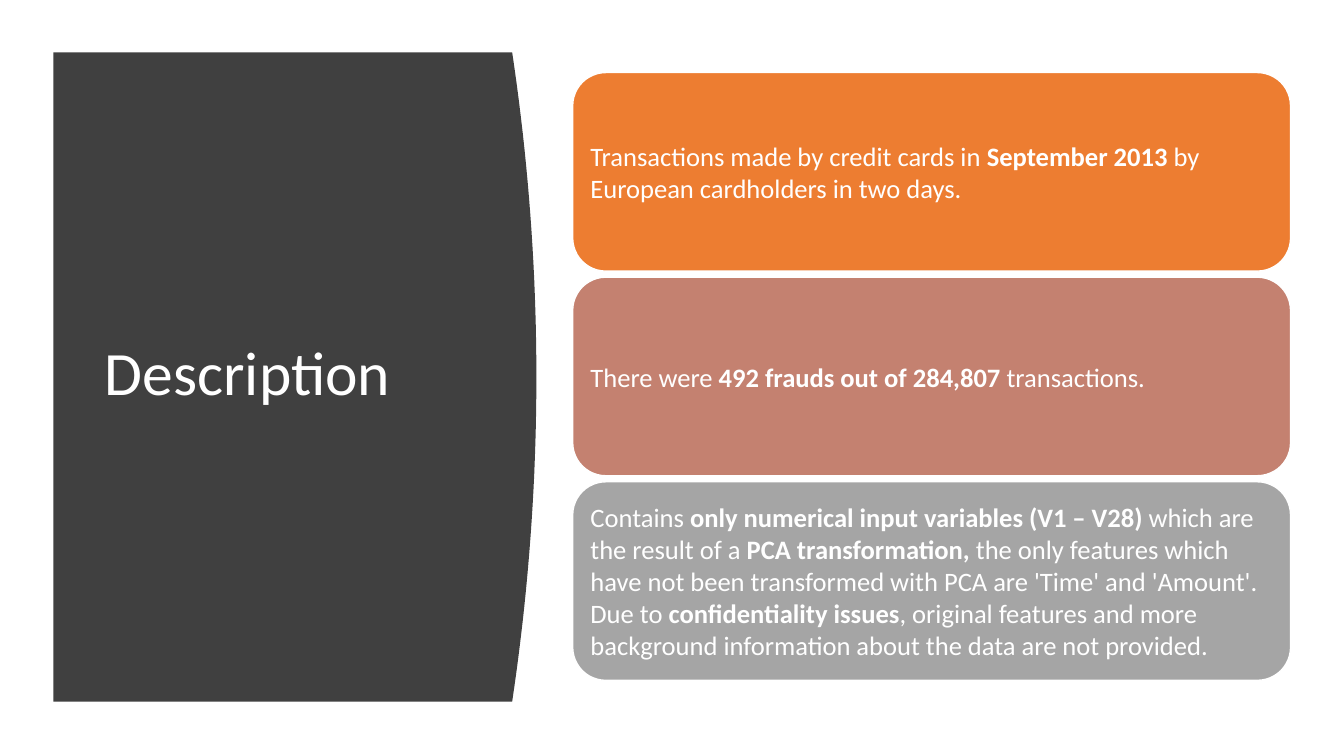
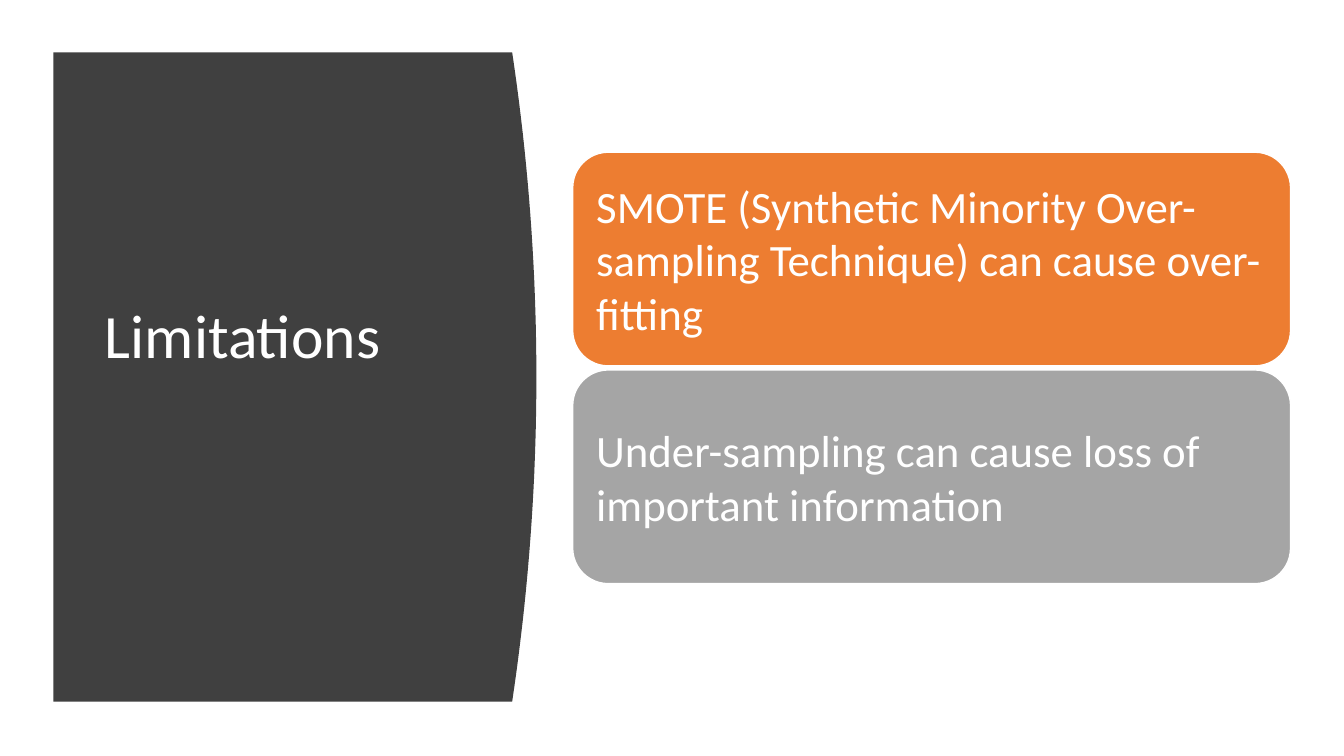
from pptx import Presentation
from pptx.dml.color import RGBColor
from pptx.enum.shapes import MSO_SHAPE
from pptx.enum.text import MSO_ANCHOR, MSO_AUTO_SIZE, PP_ALIGN
from pptx.util import Inches, Pt

FONT = "Calibri"
WHITE, CHARCOAL = "FFFFFF", "404040"
ORANGE, ROSE, GREY = "ED7D31", "C48170", "A5A5A5"
TITLE_ONLY = 5

PANEL_LEFT, PANEL_TOP, PANEL_BOTTOM = 0.53, 0.52, 6.96
PANEL_EDGE, PANEL_BULGE = 5.08, 0.24
CARD_LEFT, CARD_WIDTH = 5.68, 7.12


def rgb(value):
    return RGBColor.from_string(value)


def fill(sp, color):
    sp.shadow.inherit = False
    sp.fill.solid()
    sp.fill.fore_color.rgb = rgb(color)


def add_run(p, text, size, bold=False):
    r = p.add_run()
    r.text = text
    r.font.name = FONT
    r.font.size = Pt(size)
    r.font.bold = bold
    r.font.color.rgb = rgb(WHITE)


def add_panel(s):
    """Dark panel whose right edge bows outwards, placed behind the title."""
    steps = 40
    half = (PANEL_BOTTOM - PANEL_TOP) / 2
    edge = []
    for i in range(steps + 1):
        u = 2 * i / steps - 1
        x = PANEL_EDGE + PANEL_BULGE * (1 - u * u)
        edge.append((Inches(x), Inches(PANEL_TOP + half * (1 + u))))
    builder = s.shapes.build_freeform(Inches(PANEL_LEFT), Inches(PANEL_TOP))
    builder.add_line_segments(edge + [(Inches(PANEL_LEFT), Inches(PANEL_BOTTOM))])
    sp = builder.convert_to_shape()
    fill(sp, CHARCOAL)
    sp.line.fill.background()
    s.shapes.title.element.addprevious(sp.element)


def set_title(s, text, top):
    title = s.shapes.title
    title.left, title.top = Inches(0.94), Inches(top)
    title.width, title.height = Inches(3.74), Inches(5.24)
    tf = title.text_frame
    tf.word_wrap = True
    tf.auto_size = MSO_AUTO_SIZE.NONE
    tf.vertical_anchor = MSO_ANCHOR.MIDDLE
    p = tf.paragraphs[0]
    p.alignment = PP_ALIGN.LEFT
    p.line_spacing = 0.9
    add_run(p, text, 44)


def add_card(s, top, height, color, runs, size, inset):
    sp = s.shapes.add_shape(MSO_SHAPE.ROUNDED_RECTANGLE, Inches(CARD_LEFT),
                            Inches(top), Inches(CARD_WIDTH), Inches(height))
    fill(sp, color)
    sp.line.color.rgb = rgb(WHITE)
    sp.line.width = Pt(1)
    tf = sp.text_frame
    tf.word_wrap = True
    tf.vertical_anchor = MSO_ANCHOR.MIDDLE
    tf.margin_left = tf.margin_right = Inches(inset)
    tf.margin_top = tf.margin_bottom = Inches(inset)
    p = tf.paragraphs[0]
    p.alignment = PP_ALIGN.LEFT
    for i, text in enumerate(runs):
        add_run(p, text, size, bold=i % 2 == 1)


def add_card_slide(prs, title, title_top, cards, top, height, gap, size, inset):
    """Panel with title, and a stack of cards whose runs alternate plain and bold."""
    s = prs.slides.add_slide(prs.slide_layouts[TITLE_ONLY])
    add_panel(s)
    set_title(s, title, title_top)
    for i, (color, runs) in enumerate(cards):
        add_card(s, top + i * (height + gap), height, color, runs, size, inset)


def main():
    prs = Presentation()
    prs.slide_width, prs.slide_height = Inches(13.33), Inches(7.5)

    description = [
        (ORANGE, ["Transactions made by credit cards in ", "September 2013 ",
                  "by European cardholders in two days."]),
        (ROSE, ["There were ", "492 frauds out of 284,807 ", "transactions."]),
        (GREY, ["Contains ", "only numerical input variables (V1 – V28) ",
                "which are the result of a ", "PCA transformation, ",
                "the only features which have not been transformed with PCA "
                "are 'Time' and 'Amount'. Due to ",
                "confidentiality issues",
                ", original features and more background information about "
                "the data are not provided."]),
    ]
    add_card_slide(prs, "Description", 1.11, description,
                   top=0.72, height=1.97, gap=0.06, size=19, inset=0.08)

    limitations = [
        (ORANGE, ["SMOTE (Synthetic Minority Over-sampling Technique) "
                  "can cause over-fitting"]),
        (GREY, ["Under-sampling can cause loss of important information"]),
    ]
    add_card_slide(prs, "Limitations", 0.74, limitations,
                   top=1.51, height=2.12, gap=0.04, size=32, inset=0.13)

    prs.save("out.pptx")


if __name__ == "__main__":
    main()
